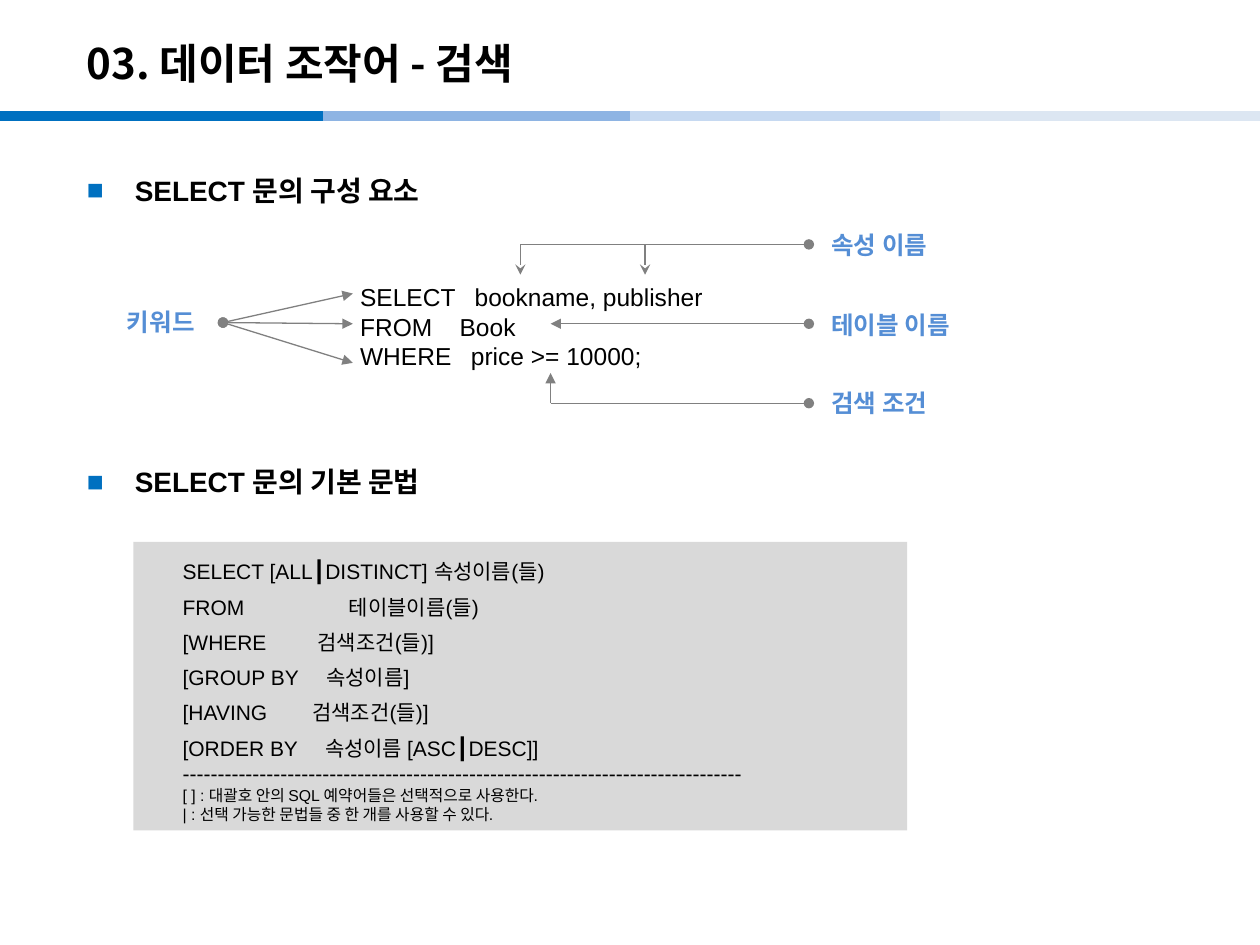
from lxml import etree
from pptx import Presentation
from pptx.dml.color import RGBColor
from pptx.enum.shapes import MSO_CONNECTOR, MSO_SHAPE
from pptx.enum.text import MSO_ANCHOR, MSO_AUTO_SIZE, PP_ALIGN
from pptx.oxml.ns import qn
from pptx.util import Inches, Pt

STRAIGHT = MSO_CONNECTOR.STRAIGHT
RECTANGLE = MSO_SHAPE.RECTANGLE
MIDDLE, TOP = MSO_ANCHOR.MIDDLE, MSO_ANCHOR.TOP
LEFT = PP_ALIGN.LEFT
NO_FIT = MSO_AUTO_SIZE.NONE


def color(value):
    return RGBColor.from_string(value)


def add_xml(parent, tag, **attributes):
    return etree.SubElement(parent, qn(tag), attributes)


class SlideBuilder:
    LATIN, KOREAN = "Arial", "Noto Sans CJK KR"
    BLACK, BLUE, LABEL = "000000", "0070C0", "558ED5"
    GRAY, PANEL = "808080", "D9D9D9"

    def __init__(self, page):
        self.page = page

    def place(self, shape, left, top, width, height):
        shape.left, shape.top = Inches(left), Inches(top)
        shape.width, shape.height = Inches(width), Inches(height)

    def format(self, para, size, font=LATIN, ink=BLACK, bold=False,
               spacing=1.0, before=0):
        para.alignment = LEFT
        para.line_spacing = spacing
        para.space_before = Pt(before)
        for span in para.runs:
            span.font.size = Pt(size)
            span.font.name = font
            span.font.bold = bold
            span.font.color.rgb = color(ink)
            add_xml(span.font._element, "a:ea", typeface=self.KOREAN)

    def tab_stop(self, para, position):
        tabs = add_xml(para._p.get_or_add_pPr(), "a:tabLst")
        add_xml(tabs, "a:tab", pos=str(Inches(position)), algn="l")

    def title(self, text, *area):
        box = self.page.shapes.title
        self.place(box, *area)
        frame = box.text_frame
        frame.text = text
        frame.auto_size = NO_FIT
        frame.vertical_anchor = MIDDLE
        self.format(frame.paragraphs[0], 24, self.KOREAN, bold=True)

    def headings(self, texts, gap, *area):
        box = self.page.placeholders[1]
        self.place(box, *area)
        frame = box.text_frame
        frame.text = "\n".join(texts)
        frame.auto_size = NO_FIT
        frame.vertical_anchor = TOP
        for index, para in enumerate(frame.paragraphs):
            self.format(para, 16, bold=True, spacing=1.5, before=gap * index)
            props = para._p.get_or_add_pPr()
            props.set("marL", str(Inches(0.38)))
            props.set("indent", str(-Inches(0.38)))
            bullet_color = add_xml(props, "a:buClr")
            add_xml(bullet_color, "a:srgbClr", val=self.BLUE)
            add_xml(props, "a:buFont", typeface=self.LATIN)
            add_xml(props, "a:buChar", char="■")

    def text(self, lines, left, top, width, height, **style):
        """Each line is a pair: text and tab stop (or None)."""
        box = self.page.shapes.add_textbox(
            Inches(left), Inches(top), Inches(width), Inches(height))
        box.text_frame.word_wrap = True
        self.fill_lines(box.text_frame, [(*line, style) for line in lines])

    def label(self, text, left, top, width):
        self.text([(text, None)], left, top, width, 0.34, size=14,
                  font=self.KOREAN, ink=self.LABEL, bold=True)

    def fill_lines(self, frame, lines):
        frame.text = "\n".join(text for text, _, _ in lines)
        for para, (_, stop, style) in zip(frame.paragraphs, lines):
            self.format(para, **style)
            if stop:
                self.tab_stop(para, stop)

    def panel(self, lines, left, top, width, height):
        box = self.page.shapes.add_shape(
            RECTANGLE, Inches(left), Inches(top), Inches(width), Inches(height))
        box.shadow.inherit = False
        box.fill.solid()
        box.fill.fore_color.rgb = color(self.PANEL)
        box.line.fill.background()
        frame = box.text_frame
        frame.word_wrap = True
        frame.margin_left = Inches(0.39)
        frame.vertical_anchor = MIDDLE
        self.fill_lines(frame, lines)

    def line(self, start, end, ink=GRAY, width=0.75, head=None, tail=None):
        link = self.page.shapes.add_connector(
            STRAIGHT, *(Inches(value) for value in (*start, *end)))
        link.line.color.rgb = color(ink)
        link.line.width = Pt(width)
        outline = link.line._get_or_add_ln()
        for tag, kind in (("a:headEnd", head), ("a:tailEnd", tail)):
            if kind:
                add_xml(outline, tag, type=kind)
        add_xml(link._element.spPr, "a:effectLst")


deck = Presentation()
deck.slide_width, deck.slide_height = Inches(10), Inches(7.5)
builder = SlideBuilder(deck.slides.add_slide(deck.slide_layouts[1]))

# Title and the band under it
bands = [(0, "0070C0"), (2.56, "8EB4E3"), (5, "C6D9F1"), (7.46, "DCE6F2")]
for left, ink in bands:
    builder.line((left, 0.92), (min(left + 2.56, 10), 0.92), ink, 6)
builder.title("03. 데이터 조작어 - 검색", 0.59, 0.2, 8.27, 0.6)

# Section headings
builder.headings(["SELECT 문의 구성 요소", "SELECT 문의 기본 문법"], 138,
                 0.59, 1.19, 8.82, 5.98)

# Syntax panel: text and tab stop
clauses = [
    ("SELECT [ALL┃DISTINCT] 속성이름(들)", None),
    ("FROM\t테이블이름(들)", 1.32),
    ("[WHERE\t검색조건(들)]", 1.07),
    ("[GROUP BY\t속성이름]", 1.14),
    ("[HAVING\t검색조건(들)]", 1.03),
    ("[ORDER BY\t속성이름 [ASC┃DESC]]", 1.13),
]
notes = ["[ ] : 대괄호 안의 SQL 예약어들은 선택적으로 사용한다.",
         "| : 선택 가능한 문법들 중 한 개를 사용할 수 있다."]
syntax = [(*clause, {"size": 12, "spacing": 1.4}) for clause in clauses]
syntax.append(("-" * 80, None, {"size": 12}))
syntax += [(note, None, {"size": 9}) for note in notes]
builder.panel(syntax, 1.06, 4.3, 6.14, 2.29)

# Example query
builder.text([("SELECT\tbookname, publisher", 0.91), ("FROM\tBook", 0.79),
              ("WHERE\tprice >= 10000;", 0.88)], 2.76, 2.19, 5, 0.81, size=14)

# Keyword arrows
builder.label("키워드", 0.91, 2.39, 0.87)
for y in (2.57, 2.33, 2.88):
    builder.line((1.77, 2.56), (2.8, y), head="oval", tail="triangle")

# Table name arrow
builder.line((4.37, 2.57), (6.42, 2.57), head="triangle", tail="oval")

# Attribute name bracket
for x in (4.13, 5.12):
    builder.line((x, 2.18), (x, 1.94), head="stealth")
builder.line((4.13, 1.94), (6.42, 1.94), tail="oval")

# Search condition bracket
builder.line((4.37, 3.2), (4.37, 2.96), tail="triangle")
builder.line((4.37, 3.2), (6.42, 3.2), tail="oval")

# Labels on the right
for text, top in (("속성 이름", 1.78), ("테이블 이름", 2.41), ("검색 조건", 3.03)):
    builder.label(text, 6.5, top, 1.34)

deck.save("out.pptx")
